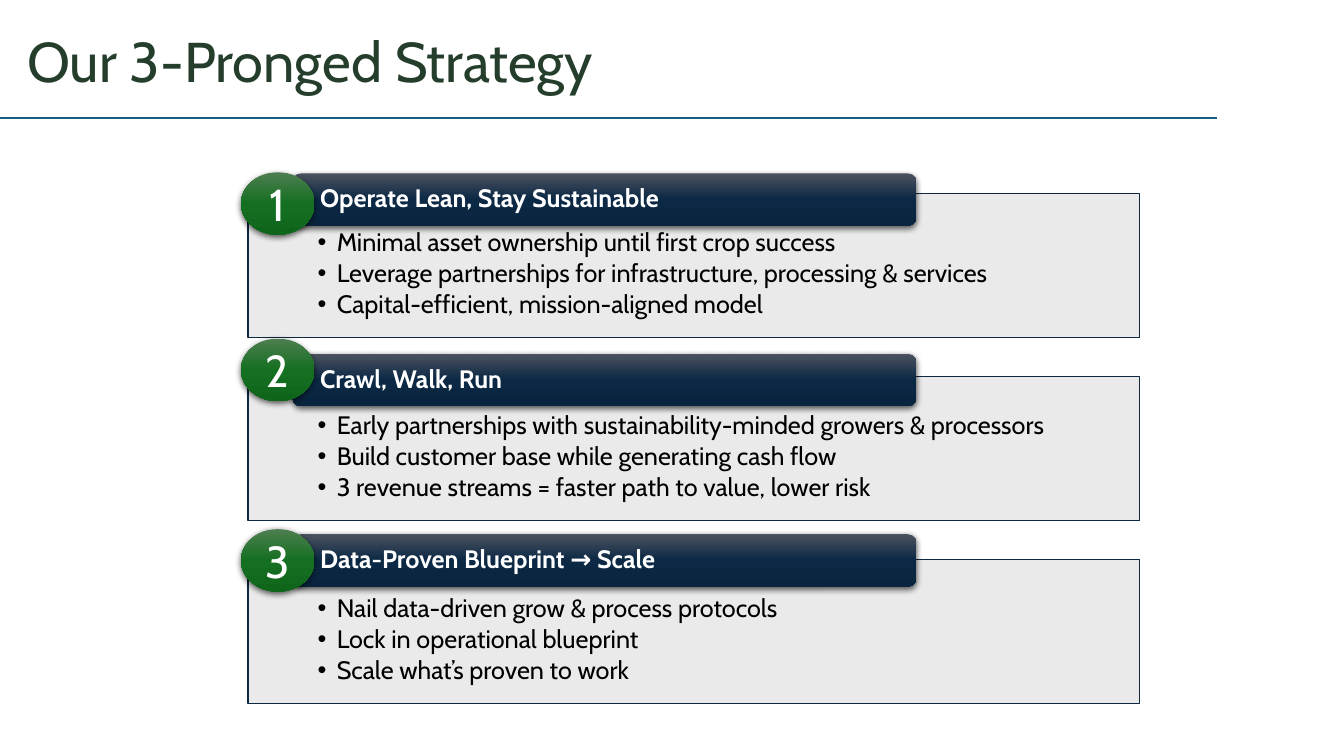
import lxml.etree
import pptx
import pptx.dml.color
import pptx.enum.shapes
import pptx.enum.text
import pptx.oxml.ns
import pptx.util

Inches = pptx.util.Inches
Pt = pptx.util.Pt
Align = pptx.enum.text.PP_ALIGN
Anchor = pptx.enum.text.MSO_ANCHOR
Kind = pptx.enum.shapes.MSO_SHAPE


class Theme:
    font = "Cabin"
    title, rule = "253E2C", "156082"
    panel, edge = "E8E8E8", "0E2841"
    black, white = "000000", "FFFFFF"
    navy = ("4C525F", "0B2844", "08243E")
    green = ("4D7E50", "156F21", "0F661B")
    head, digit, body = 40, 32, 18


def rgb(code):
    return pptx.dml.color.RGBColor.from_string(code)


def add(parent, tag, **attrs):
    name = pptx.oxml.ns.qn("a:" + tag)
    return lxml.etree.SubElement(parent, name, attrs)


def find(root, tag):
    return next(root.iter(pptx.oxml.ns.qn("a:" + tag)))


class Deck:
    def __init__(self, theme):
        self.theme = theme
        self.show = pptx.Presentation()
        self.show.slide_width = Inches(13.33)
        self.show.slide_height = Inches(7.5)
        # The comparison layout supplies a title and several body placeholders
        self.slide = self.show.slides.add_slide(self.show.slide_layouts[4])
        self.bodies = [p for p in self.slide.placeholders
                       if p.placeholder_format.idx > 0]

    def place(self, shape, box):
        shape.left, shape.top, shape.width, shape.height = map(Inches, box)

    def frame(self, shape, inset, anchor):
        frame = shape.text_frame
        frame.word_wrap = True
        frame.auto_size = pptx.enum.text.MSO_AUTO_SIZE.NONE
        frame.vertical_anchor = anchor
        (frame.margin_left, frame.margin_top,
         frame.margin_right, frame.margin_bottom) = map(Inches, inset)
        return frame

    def style(self, para, size, color, bold=False, align=Align.LEFT):
        para.alignment = align
        para.space_before = Pt(0)
        for run in para.runs:
            run.font.name = self.theme.font
            run.font.size = Pt(size)
            run.font.bold = bold
            run.font.color.rgb = rgb(color)

    def title(self, text, box):
        shape = self.slide.shapes.title
        self.place(shape, box)
        frame = self.frame(shape, (0.1, 0.05, 0.1, 0.05), Anchor.TOP)
        frame.text = text
        self.style(frame.paragraphs[0], self.theme.head, self.theme.title)

    def rule(self, top, width):
        line = self.slide.shapes.add_connector(
            pptx.enum.shapes.MSO_CONNECTOR.STRAIGHT,
            Inches(0), Inches(top), Inches(width), Inches(top))
        line.line.color.rgb = rgb(self.theme.rule)
        line.line.width = Pt(1.5)
        add(line._element.spPr, "effectLst")

    def panel(self, items, box):
        shape = self.bodies.pop(0)
        self.place(shape, box)
        shape.fill.solid()
        shape.fill.fore_color.rgb = rgb(self.theme.panel)
        add(find(shape._element.spPr, "srgbClr"), "alpha", val="90000")
        shape.line.color.rgb = rgb(self.theme.edge)
        shape.line.width = Pt(1)
        frame = self.frame(shape, (0.69, 0.36, 0.69, 0.14), Anchor.TOP)
        frame.text = "\n".join(items)
        for para in frame.paragraphs:
            props = para._p.get_or_add_pPr()
            props.set("marL", str(Inches(0.19)))
            props.set("indent", str(Inches(-0.19)))
            add(props, "buFont", typeface="Arial")
            add(props, "buChar", char="•")
            para.line_spacing = 0.9
            para.space_after = Pt(2.7)
            self.style(para, self.theme.body, self.theme.black)

    def glossy(self, kind, box, colors):
        shape = self.slide.shapes.add_shape(kind, *map(Inches, box))
        shape.fill.gradient()
        shape.fill.gradient_angle = 270
        stops = find(shape._element.spPr, "gsLst")
        stops.clear()
        for pos, color in zip(("0", "50000", "100000"), colors):
            add(add(stops, "gs", pos=pos), "srgbClr", val=color)
        shape.line.fill.background()
        shape.shadow.inherit = False
        cast = add(find(shape._element.spPr, "effectLst"), "outerShdw",
                   blurRad=str(Pt(4.5)), dist=str(Pt(1.5)), dir="5400000",
                   algn="ctr", rotWithShape="0")
        add(add(cast, "srgbClr", val=self.theme.black), "alpha", val="63000")
        return shape

    def bar(self, text, box):
        shape = self.glossy(Kind.ROUNDED_RECTANGLE, box, self.theme.navy)
        frame = self.frame(shape, (0.25, 0, 0.25, 0), Anchor.MIDDLE)
        frame.text = text
        frame.paragraphs[0].line_spacing = 0.9
        self.style(frame.paragraphs[0], self.theme.body, self.theme.white,
                   bold=True)

    def badge(self, text, box):
        shape = self.glossy(Kind.OVAL, box, self.theme.green)
        frame = self.frame(shape, (0.1, 0.05, 0.1, 0.05), Anchor.MIDDLE)
        frame.text = text
        self.style(frame.paragraphs[0], self.theme.digit, self.theme.white,
                   align=Align.CENTER)

    def save(self):
        for spare in self.bodies:
            spare._element.getparent().remove(spare._element)
        self.show.save("out.pptx")


# Each prong: badge top, heading, points
PRONGS = [
    (1.71, "Operate Lean, Stay Sustainable", [
        "Minimal asset ownership until first crop success",
        "Leverage partnerships for infrastructure, processing & services",
        "Capital-efficient, mission-aligned model"]),
    (3.36, "Crawl, Walk, Run", [
        "Early partnerships with sustainability-minded growers & processors",
        "Build customer base while generating cash flow",
        "3 revenue streams = faster path to value, lower risk"]),
    (5.25, "Data-Proven Blueprint → Scale", [
        "Nail data-driven grow & process protocols",
        "Lock in operational blueprint",
        "Scale what’s proven to work"]),
]


def main():
    deck = Deck(Theme())

    # Heading
    deck.title("Our 3-Pronged Strategy", (0.17, 0.21, 6.67, 0.77))
    deck.rule(1.17, 12.07)

    # Panels with their heading bars and numbers
    for row, (top, head, items) in enumerate(PRONGS):
        deck.panel(items, (2.46, 1.92 + 1.815 * row, 8.84, 1.43))
        deck.bar(head, (2.9, 1.72 + 1.79 * row, 6.19, 0.52))
        deck.badge(str(row + 1), (2.39, top, 0.73, 0.62))

    deck.save()


if __name__ == "__main__":
    main()
